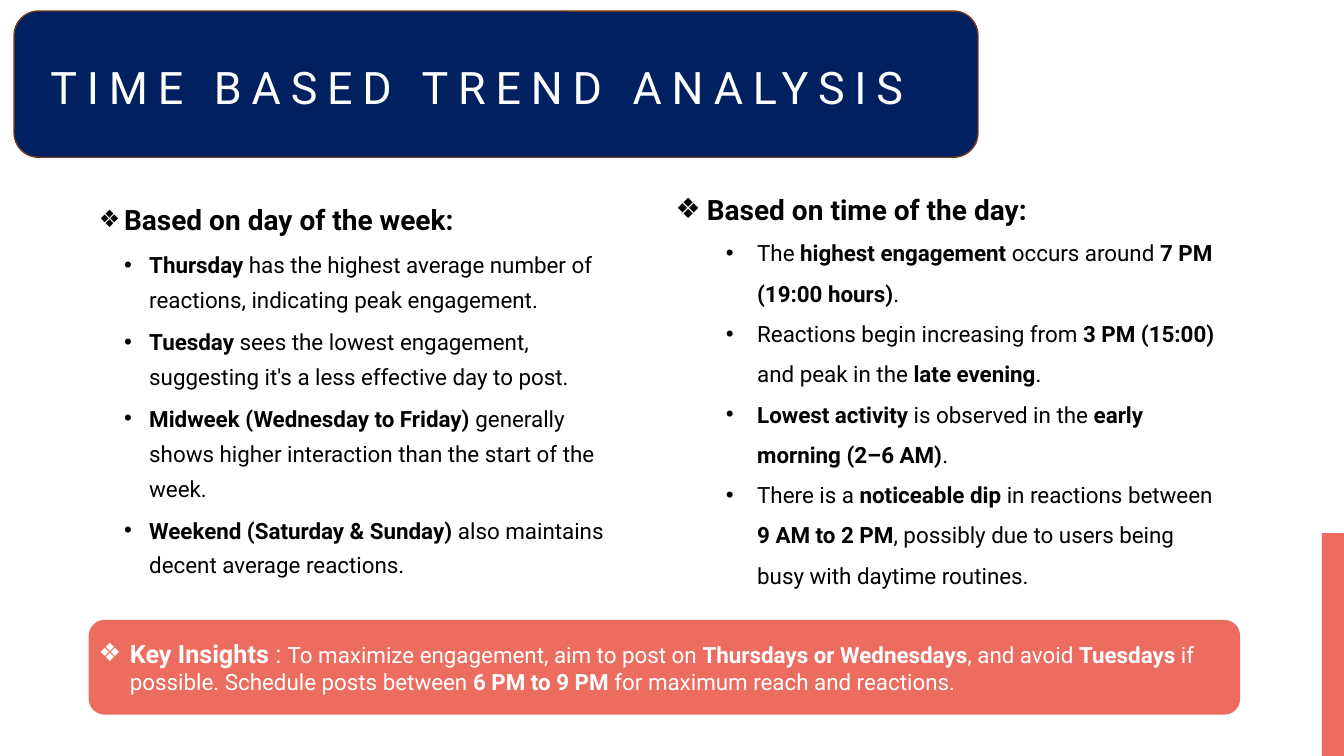
"""Build the time based trend analysis slide."""
from dataclasses import dataclass

from lxml.etree import SubElement
from pptx import Presentation
from pptx.dml.color import RGBColor
from pptx.enum.shapes import MSO_SHAPE
from pptx.enum.text import MSO_ANCHOR, MSO_AUTO_SIZE, PP_ALIGN
from pptx.oxml.ns import qn
from pptx.util import Inches, Pt


@dataclass(frozen=True)
class Theme:
    font: str = "Roboto"
    navy: RGBColor = RGBColor(0x00, 0x20, 0x60)
    brown: RGBColor = RGBColor(0x6F, 0x3A, 0x1D)
    coral: RGBColor = RGBColor(0xEC, 0x6D, 0x60)
    white: RGBColor = RGBColor(0xFF, 0xFF, 0xFF)
    black: RGBColor = RGBColor(0x00, 0x00, 0x00)
    title_size: int = 32
    heading_size: int = 20
    label_size: int = 18
    text_size: int = 16
    title_tracking: int = 7


THEME = Theme()
TITLE = "TIME BASED TREND ANALYSIS"
COLUMNS = [
    {
        "box": (0.88, 1.86, 5.32, 4.34),
        "heading": "**Based on day of the week:**",
        "points": [
            "**Thursday** has the highest average number of reactions, indicating peak engagement.",
            "**Tuesday** sees the lowest engagement, suggesting it's a less effective day to post.",
            "**Midweek (Wednesday to Friday)** generally shows higher interaction than the start of the week.",
            "**Weekend (Saturday & Sunday)** also maintains decent average reactions.",
        ],
        "heading_style": {"indent": 0.25, "spacing": 1.3, "before": 10, "bullet_percent": 85},
        "point_style": {"indent": 0.25, "left": 0.5, "spacing": 1.3, "before": 5},
    },
    {
        "box": (6.6, 1.86, 5.64, 4.03),
        "heading": "**Based on time of the day:**",
        "points": [
            "The **highest engagement** occurs around **7 PM (19:00 hours)**.",
            "Reactions begin increasing from **3 PM (15:00)** and peak in the **late evening**.",
            "**Lowest activity** is observed in the **early morning (2–6 AM)**.",
            "There is a **noticeable dip** in reactions between **9 AM to 2 PM**, "
            "possibly due to users being busy with daytime routines.",
        ],
        "heading_style": {"indent": 0.31},
        "point_style": {"indent": 0.31, "left": 0.81, "spacing": 1.5},
    },
]
INSIGHT_LABEL = "**Key Insights **: "
INSIGHT = (
    "To maximize engagement, aim to post on **Thursdays or Wednesdays**, and avoid **Tuesdays** if possible. "
    "Schedule posts between **6 PM to 9 PM** for maximum reach and reactions."
)


def place(shape, box):
    shape.left, shape.top, shape.width, shape.height = map(Inches, box)


def add_panel(slide, kind, box, fill, line=None):
    panel = slide.shapes.add_shape(kind, *map(Inches, box))
    panel.shadow.inherit = False
    panel.fill.solid()
    panel.fill.fore_color.rgb = fill
    if line is None:
        panel.line.fill.background()
    else:
        panel.line.color.rgb = line
        panel.line.width = Pt(1)
    return panel


def set_font(font, size, color):
    font.name, font.size, font.color.rgb = THEME.font, Pt(size), color


def add_marked_runs(paragraph, text):
    runs = []
    for position, part in enumerate(text.split("**")):
        if part:
            run = paragraph.add_run()
            run.text = part
            run.font.bold = position % 2 == 1
            runs.append(run)
    return runs


def format_bullet(paragraph, bullet, indent, left=None, spacing=1.0, before=0, bullet_percent=100):
    paragraph.alignment = PP_ALIGN.LEFT
    paragraph.line_spacing = spacing
    paragraph.space_before = Pt(before)
    properties = paragraph._p.get_or_add_pPr()
    properties.set("marL", str(Inches(left or indent)))
    properties.set("indent", str(-Inches(indent)))
    SubElement(properties, qn("a:buSzPct"), val=str(bullet_percent * 1000))
    SubElement(properties, qn("a:buFont"), typeface="Arial")
    SubElement(properties, qn("a:buChar"), char=bullet)


def fill_title(title):
    place(title, (0.4, 0.11, 11.33, 1.07))
    frame = title.text_frame
    frame.text = TITLE
    frame.auto_size = MSO_AUTO_SIZE.NONE
    frame.vertical_anchor = MSO_ANCHOR.BOTTOM
    paragraph = frame.paragraphs[0]
    paragraph.alignment = PP_ALIGN.LEFT
    paragraph.line_spacing = 1.2
    set_font(paragraph.font, THEME.title_size, THEME.white)
    paragraph.runs[0].font._element.set("spc", str(THEME.title_tracking * 100))


def fill_column(body, column):
    place(body, column["box"])
    frame = body.text_frame
    frame.auto_size = MSO_AUTO_SIZE.NONE
    heading = frame.paragraphs[0]
    format_bullet(heading, "❖", **column["heading_style"])
    set_font(heading.font, THEME.heading_size, THEME.black)
    add_marked_runs(heading, column["heading"])
    for text in column["points"]:
        point = frame.add_paragraph()
        point.level = 1
        format_bullet(point, "•", **column["point_style"])
        set_font(point.font, THEME.text_size, THEME.black)
        add_marked_runs(point, text)


def add_insight(slide):
    add_panel(slide, MSO_SHAPE.ROUNDED_RECTANGLE, (0.88, 6.15, 11.42, 0.94), THEME.coral)
    frame = slide.shapes.add_textbox(*map(Inches, (0.88, 6.28, 11.56, 0.67))).text_frame
    frame.word_wrap = True
    paragraph = frame.paragraphs[0]
    format_bullet(paragraph, "❖", indent=0.31)
    set_font(paragraph.font, THEME.text_size, THEME.white)
    for run in add_marked_runs(paragraph, INSIGHT_LABEL):
        run.font.size = Pt(THEME.label_size)
    add_marked_runs(paragraph, INSIGHT)


def main():
    presentation = Presentation()
    presentation.slide_width, presentation.slide_height = Inches(13.33), Inches(7.5)
    slide = presentation.slides.add_slide(presentation.slide_layouts.get_by_name("Two Content"))
    title, *bodies = slide.placeholders
    add_panel(slide, MSO_SHAPE.RECTANGLE, (13.11, 5.29, 0.22, 2.21), THEME.coral)
    banner = add_panel(slide, MSO_SHAPE.ROUNDED_RECTANGLE, (0.14, 0.11, 9.56, 1.45), THEME.navy, THEME.brown)
    title.element.addprevious(banner.element)
    fill_title(title)
    for body, column in zip(bodies, COLUMNS):
        fill_column(body, column)
    add_insight(slide)
    presentation.save("out.pptx")


if __name__ == "__main__":
    main()
